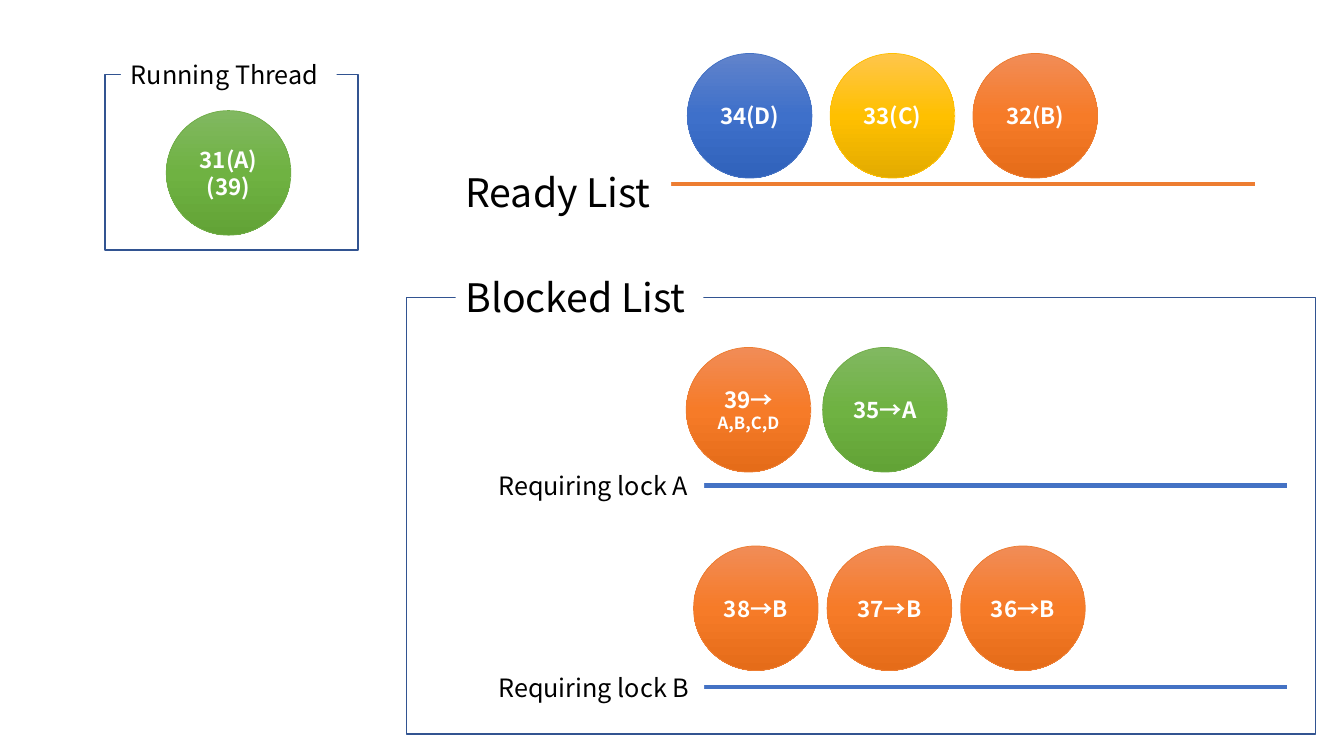
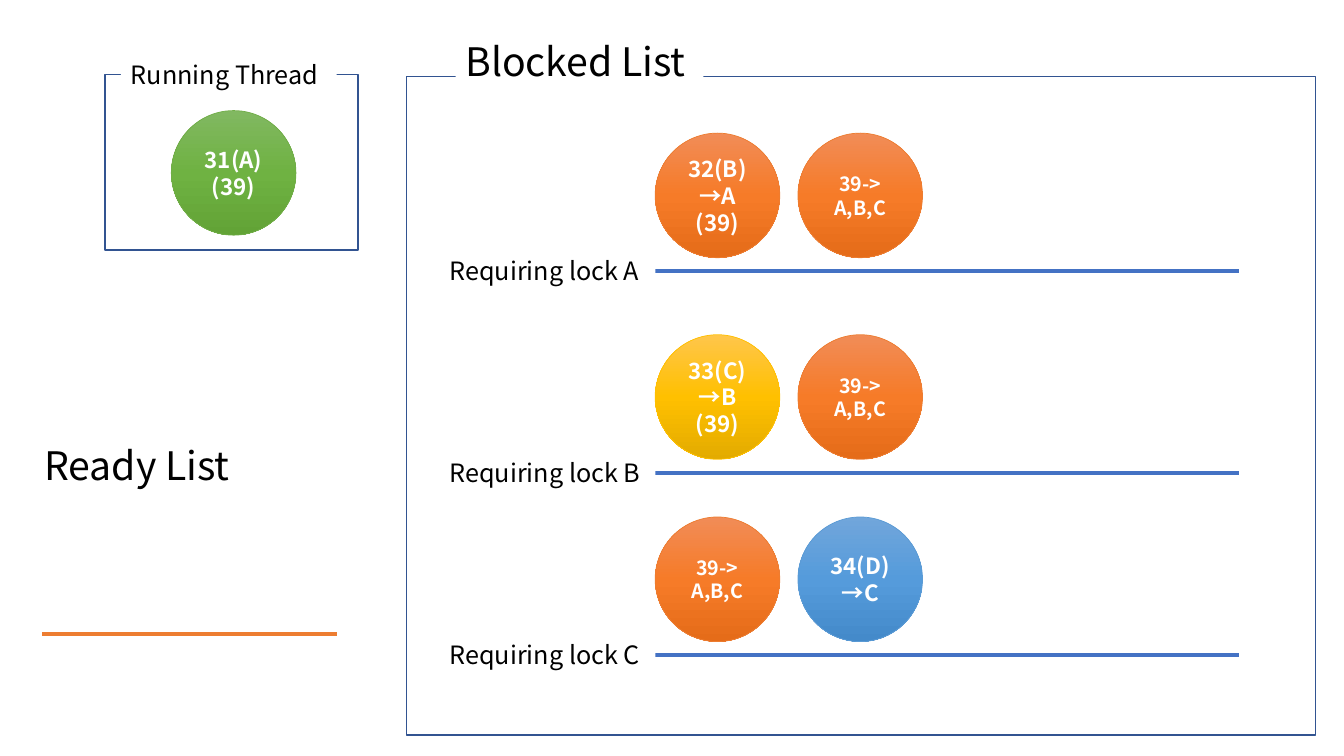
from copy import deepcopy
from typing import NamedTuple, Optional

from lxml import etree
from pptx import Presentation
from pptx import util as u
from pptx.dml.color import RGBColor
from pptx.enum import shapes, text
from pptx.oxml.ns import qn

# Shared style
FONT = "Noto Sans CJK KR"
WHITE = RGBColor(0xFF, 0xFF, 0xFF)
BLACK = RGBColor(0x00, 0x00, 0x00)
FRAME_BLUE = RGBColor(0x32, 0x54, 0x91)
LOCK_BLUE = RGBColor(0x44, 0x72, 0xC4)
READY_ORANGE = RGBColor(0xED, 0x7D, 0x31)
DIAMETER = 89
RAIL_LENGTH = 504
HEADING_SIZE, CAPTION_SIZE = 28, 18
CAPTION_WIDTH = 154


class Tone(NamedTuple):
    top: RGBColor
    middle: RGBColor
    bottom: RGBColor
    edge: RGBColor


def tone(*codes: str) -> Tone:
    return Tone(*(RGBColor.from_string(code) for code in codes))


GREEN = tone("81B861", "6FB242", "62A336", "70AD47")
ORANGE = tone("F18C57", "F67B28", "E56C19", "ED7D31")
YELLOW = tone("FFC64B", "FFC000", "E3AB00", "FFC000")
BLUE = tone("6183CB", "3E70CA", "3062BB", "4472C4")
SKY = tone("71A6DB", "559BDB", "448ACA", "5B9BD5")


class Thread(NamedTuple):
    lines: tuple[str, ...]
    tone: Tone
    size: float = 16
    tail_size: Optional[float] = None  # size of the lines after the first


class Box(NamedTuple):
    left: float
    top: float
    width: float
    height: float


class Queue(NamedTuple):
    """Threads in a row, resting above a rail."""
    left: float
    rail: float
    pitch: float
    threads: tuple[Thread, ...]
    lift: float = 98.6


class Lock(NamedTuple):
    name: str
    queue: Queue


class Board(NamedTuple):
    running_left: float
    ready_label: Box
    ready_rail: tuple[float, float]  # left and length
    ready: Queue
    blocked_frame: Box
    blocked_label: Box
    lock_left: float
    locks: tuple[Lock, ...]


# Drawing
def draw_frame(slide, box: Box) -> None:
    frame = slide.shapes.add_shape(shapes.MSO_SHAPE.RECTANGLE, *map(u.Pt, box))
    frame.shadow.inherit = False
    frame.fill.background()
    frame.line.color.rgb = FRAME_BLUE
    frame.line.width = u.Pt(1)


def draw_label(slide, box: Box, words: str, size: float) -> None:
    label = slide.shapes.add_textbox(*map(u.Pt, box))
    label.fill.solid()
    label.fill.fore_color.rgb = WHITE
    label.text_frame.word_wrap = True
    label.text_frame.auto_size = text.MSO_AUTO_SIZE.SHAPE_TO_FIT_TEXT
    label.text_frame.text = words
    font = label.text_frame.paragraphs[0].font
    font.name, font.size = FONT, u.Pt(size)
    font.color.rgb = BLACK


def draw_rail(slide, left: float, y: float, length: float, color: RGBColor) -> None:
    rail = slide.shapes.add_connector(
        shapes.MSO_CONNECTOR.STRAIGHT, u.Pt(left), u.Pt(y), u.Pt(left + length), u.Pt(y))
    rail.line.color.rgb = color
    rail.line.width = u.Pt(3)
    etree.SubElement(rail._element.spPr, qn("a:effectLst"))


def shade(circle, colors: Tone) -> None:
    circle.fill.gradient()
    circle.fill.gradient_angle = 270
    stop_list = circle._element.spPr.find(qn("a:gradFill")).find(qn("a:gsLst"))
    stop_list.insert(1, deepcopy(stop_list[0]))
    for index, stop in enumerate(circle.fill.gradient_stops):
        stop.position = index / 2
        stop.color.rgb = colors[index]
    circle.line.color.rgb = colors.edge
    circle.line.width = u.Pt(0.5)


def draw_thread(slide, thread: Thread, left: float, top: float) -> None:
    circle = slide.shapes.add_shape(
        shapes.MSO_SHAPE.OVAL, *map(u.Pt, (left, top, DIAMETER, DIAMETER)))
    circle.shadow.inherit = False
    shade(circle, thread.tone)
    frame = circle.text_frame
    frame.word_wrap = True
    frame.vertical_anchor = text.MSO_ANCHOR.MIDDLE
    frame.text = "\n".join(thread.lines)
    for index, paragraph in enumerate(frame.paragraphs):
        paragraph.alignment = text.PP_ALIGN.CENTER
        font = paragraph.font
        font.name, font.bold = FONT, True
        font.size = u.Pt(thread.tail_size if index and thread.tail_size else thread.size)
        font.color.rgb = WHITE


def draw_queue(slide, queue: Queue) -> None:
    for index, thread in enumerate(queue.threads):
        draw_thread(slide, thread, queue.left + index * queue.pitch, queue.rail - queue.lift)


def draw_board(slide, board: Board) -> None:
    # Running thread
    draw_frame(slide, Box(75, 53.3, 180.7, 125.3))
    draw_label(slide, Box(86.4, 38.9, CAPTION_WIDTH, 28.8), "Running Thread", CAPTION_SIZE)
    draw_thread(slide, RUNNING, board.running_left, 79)

    # Blocked list, one rail for each lock
    draw_frame(slide, board.blocked_frame)
    draw_label(slide, board.blocked_label, "Blocked List", HEADING_SIZE)
    for lock in board.locks:
        rail = lock.queue.rail
        draw_rail(slide, board.lock_left, rail, RAIL_LENGTH, LOCK_BLUE)
        draw_label(slide, Box(board.lock_left - 66.6, rail - 14.6, CAPTION_WIDTH, 28.8),
                   f"Requiring lock {lock.name}", CAPTION_SIZE)
        draw_queue(slide, lock.queue)

    # Ready list
    left, length = board.ready_rail
    draw_rail(slide, left, board.ready.rail, length, READY_ORANGE)
    draw_label(slide, board.ready_label, "Ready List", HEADING_SIZE)
    draw_queue(slide, board.ready)


# Content
RUNNING = Thread(("31(A)", "(39)"), GREEN)
WAITING = Thread(("39->", "A,B,C"), ORANGE, 14)

BOARDS = (
    Board(
        running_left=118.8,
        ready_label=Box(325.4, 116.6, CAPTION_WIDTH, 41),
        ready_rail=(392.4, RAIL_LENGTH),
        ready=Queue(491, 131.2, 102, (
            Thread(("34(D)",), BLUE),
            Thread(("33(C)",), YELLOW),
            Thread(("32(B)",), ORANGE),
        ), lift=93),
        blocked_frame=Box(290.2, 212.4, 649.4, 311.8),
        blocked_label=Box(325.4, 191.5, 177, 41),
        lock_left=415.5,
        locks=(
            Lock("A", Queue(490.2, 346.8, 97.4, (
                Thread(("39→", "A,B,C,D"), ORANGE, tail_size=12),
                Thread(("35→A",), GREEN),
            ))),
            Lock("B", Queue(495.4, 491, 95.4, tuple(
                Thread((f"{priority}→B",), ORANGE) for priority in (38, 37, 36)
            ), lift=101)),
        ),
    ),
    Board(
        running_left=122.4,
        ready_label=Box(24.5, 311.8, 147.6, 41),
        ready_rail=(30.2, 210.2),
        ready=Queue(30.2, 452.9, 102, ()),
        blocked_frame=Box(290.2, 54.7, 649.4, 470.2),
        blocked_label=Box(325.4, 23, 177, 62),
        lock_left=380.7,
        locks=(
            Lock("A", Queue(468, 193.7, 102, (
                Thread(("32(B)", "→A", "(39)"), ORANGE), WAITING))),
            Lock("B", Queue(468, 337.7, 102, (
                Thread(("33(C)", "→B", "(39)"), YELLOW), WAITING))),
            Lock("C", Queue(468, 467.9, 102, (
                WAITING, Thread(("34(D)", "→C"), SKY)))),
        ),
    ),
)

# Slides
deck = Presentation()
deck.slide_width, deck.slide_height = u.Pt(960), u.Pt(540)
for board in BOARDS:
    draw_board(deck.slides.add_slide(deck.slide_layouts[6]), board)
deck.save("out.pptx")
